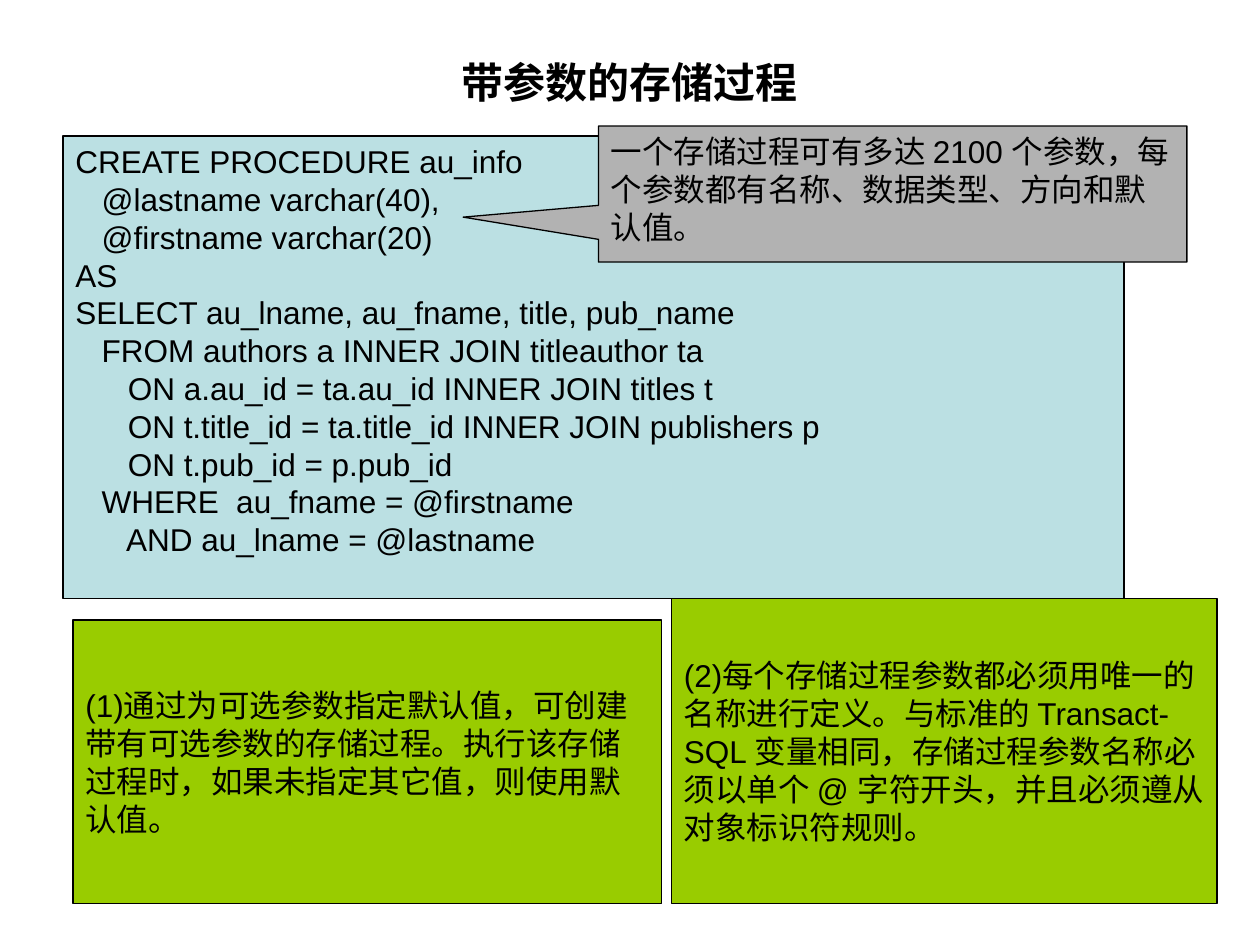
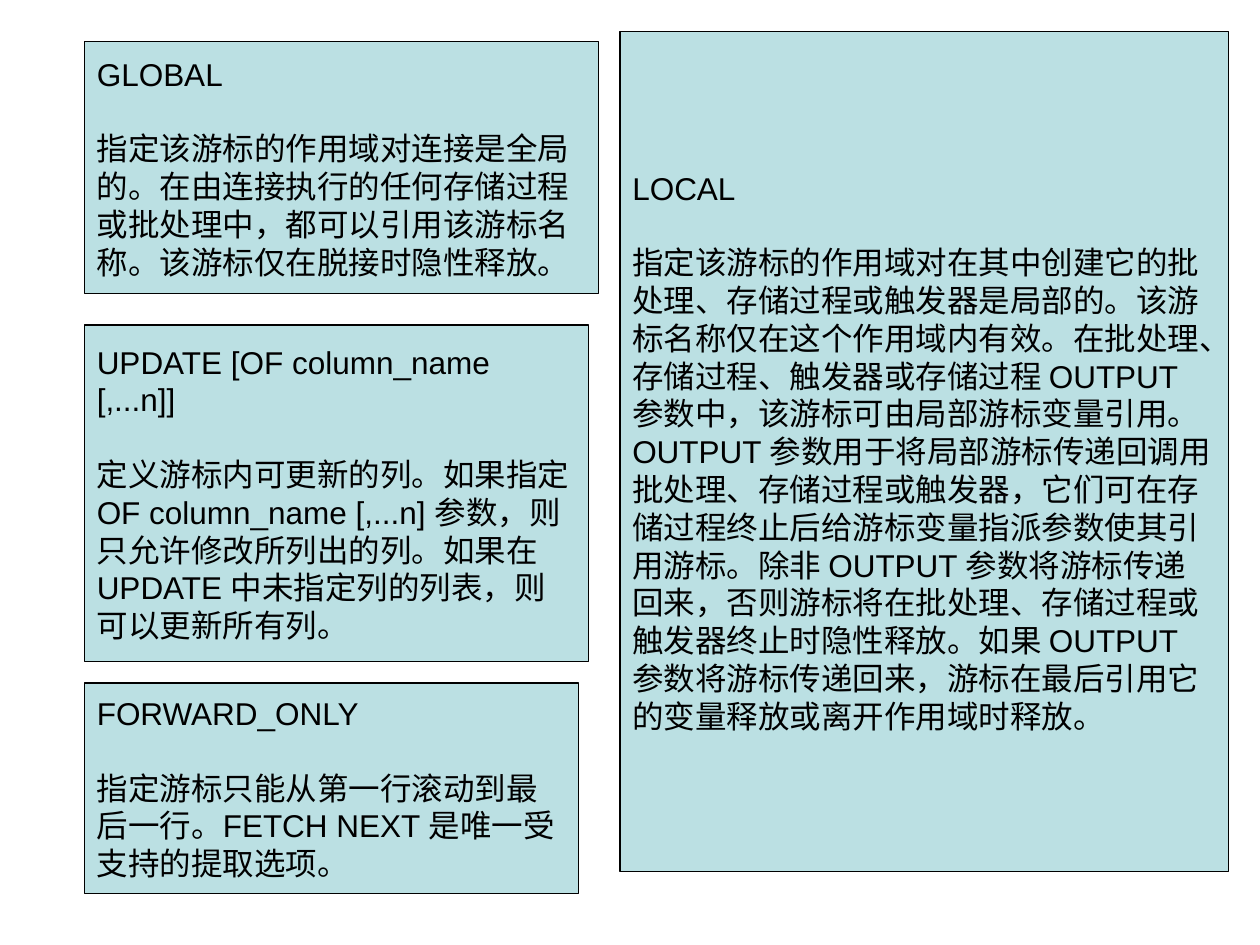
from dataclasses import dataclass

from pptx import Presentation
from pptx.dml.color import RGBColor
from pptx.enum.shapes import MSO_SHAPE
from pptx.enum.text import MSO_ANCHOR, PP_ALIGN
from pptx.presentation import Presentation as Deck
from pptx.slide import Slide
from pptx.text.text import TextFrame
from pptx.util import Inches, Pt


@dataclass(frozen=True)
class Theme:
    font: str = "Arial"
    ink: RGBColor = RGBColor(0x00, 0x00, 0x00)
    aqua: RGBColor = RGBColor(0xBB, 0xE0, 0xE3)
    green: RGBColor = RGBColor(0x99, 0xCC, 0x00)
    gray: RGBColor = RGBColor(0xB2, 0xB2, 0xB2)
    title_size: Pt = Pt(24)
    body_size: Pt = Pt(18)
    heading_gap: Pt = Pt(21)
    outline: Pt = Pt(0.75)


THEME = Theme()


@dataclass(frozen=True)
class Panel:
    """A filled, outlined box; a tail turns it into a callout."""
    left: float
    top: float
    width: float
    height: float
    paragraphs: tuple[str, ...]
    fill: RGBColor = THEME.aqua
    anchor: MSO_ANCHOR = MSO_ANCHOR.MIDDLE
    gap: Pt = Pt(0)
    tail: tuple[float, float] | None = None


PROCEDURE_CODE = """\
CREATE PROCEDURE au_info
   @lastname varchar(40),
   @firstname varchar(20)
AS
SELECT au_lname, au_fname, title, pub_name
   FROM authors a INNER JOIN titleauthor ta
      ON a.au_id = ta.au_id INNER JOIN titles t
      ON t.title_id = ta.title_id INNER JOIN publishers p
      ON t.pub_id = p.pub_id
   WHERE  au_fname = @firstname
      AND au_lname = @lastname"""

PROCEDURE_PANELS = (
    Panel(0.5, 1.08, 8.42, 3.67, tuple(PROCEDURE_CODE.splitlines()), anchor=MSO_ANCHOR.TOP),
    Panel(4.75, 1, 4.67, 1.08,
          ("一个存储过程可有多达 2100 个参数，每个参数都有名称、数据类型、方向和默认值。",),
          THEME.gray, MSO_ANCHOR.TOP, tail=(-0.73, 0.17)),
    Panel(5.33, 4.75, 4.33, 2.42,
          ("(2)每个存储过程参数都必须用唯一的名称进行定义。与标准的 Transact-SQL 变量相同，"
           "存储过程参数名称必须以单个 @ 字符开头，并且必须遵从对象标识符规则。",),
          THEME.green),
    Panel(0.58, 4.92, 4.67, 2.25,
          ("(1)通过为可选参数指定默认值，可创建带有可选参数的存储过程。"
           "执行该存储过程时，如果未指定其它值，则使用默认值。",),
          THEME.green),
)

CURSOR_PANELS = (
    Panel(4.92, 0.25, 4.83, 6.67, (
        "LOCAL",
        "指定该游标的作用域对在其中创建它的批处理、存储过程或触发器是局部的。"
        "该游标名称仅在这个作用域内有效。在批处理、存储过程、触发器或存储过程 OUTPUT 参数中，"
        "该游标可由局部游标变量引用。OUTPUT 参数用于将局部游标传递回调用批处理、存储过程或触发器，"
        "它们可在存储过程终止后给游标变量指派参数使其引用游标。除非 OUTPUT 参数将游标传递回来，"
        "否则游标将在批处理、存储过程或触发器终止时隐性释放。如果 OUTPUT 参数将游标传递回来，"
        "游标在最后引用它的变量释放或离开作用域时释放。"), gap=THEME.heading_gap),
    Panel(0.67, 0.33, 4.08, 2, (
        "GLOBAL",
        "指定该游标的作用域对连接是全局的。在由连接执行的任何存储过程或批处理中，"
        "都可以引用该游标名称。该游标仅在脱接时隐性释放。"), gap=THEME.heading_gap),
    Panel(0.67, 5.42, 3.92, 1.67, (
        "FORWARD_ONLY",
        "指定游标只能从第一行滚动到最后一行。FETCH NEXT 是唯一受支持的提取选项。"),
        gap=THEME.heading_gap),
    Panel(0.67, 2.58, 4, 2.67, (
        "UPDATE [OF column_name [,...n]]",
        "定义游标内可更新的列。如果指定 OF column_name [,...n] 参数，则只允许修改所列出的列。"
        "如果在 UPDATE 中未指定列的列表，则可以更新所有列。"), gap=THEME.heading_gap),
)


def write_text(frame: TextFrame, paragraphs: tuple[str, ...], size: Pt,
               anchor: MSO_ANCHOR = MSO_ANCHOR.MIDDLE, align: PP_ALIGN = PP_ALIGN.LEFT,
               bold: bool = False, gap: Pt = Pt(0)) -> None:
    frame.word_wrap = True
    frame.vertical_anchor = anchor
    for index, text in enumerate(paragraphs):
        para = frame.add_paragraph() if index else frame.paragraphs[0]
        para.text = text
        para.alignment = align
        if index and gap:
            para.space_before = gap
        para.font.name = THEME.font
        para.font.size = size
        para.font.bold = bold
        para.font.color.rgb = THEME.ink


def add_title(page: Slide, text: str) -> None:
    box = page.shapes.add_textbox(Inches(0.5), Inches(0.3), Inches(9), Inches(0.7))
    write_text(box.text_frame, (text,), THEME.title_size, align=PP_ALIGN.CENTER, bold=True)


def add_panel(page: Slide, panel: Panel) -> None:
    kind = MSO_SHAPE.RECTANGULAR_CALLOUT if panel.tail else MSO_SHAPE.RECTANGLE
    box = page.shapes.add_shape(kind, Inches(panel.left), Inches(panel.top),
                                Inches(panel.width), Inches(panel.height))
    if panel.tail:
        box.adjustments[0], box.adjustments[1] = panel.tail
    box.shadow.inherit = False
    box.fill.solid()
    box.fill.fore_color.rgb = panel.fill
    box.line.color.rgb = THEME.ink
    box.line.width = THEME.outline
    write_text(box.text_frame, panel.paragraphs, THEME.body_size, panel.anchor, gap=panel.gap)


def add_page(deck: Deck, panels: tuple[Panel, ...], title: str = "") -> None:
    page = deck.slides.add_slide(deck.slide_layouts[6])
    if title:
        add_title(page, title)
    for panel in panels:
        add_panel(page, panel)


def main() -> None:
    deck = Presentation()
    deck.slide_width, deck.slide_height = Inches(10), Inches(7.5)
    add_page(deck, PROCEDURE_PANELS, "带参数的存储过程")
    add_page(deck, CURSOR_PANELS)
    deck.save("out.pptx")


if __name__ == "__main__":
    main()
